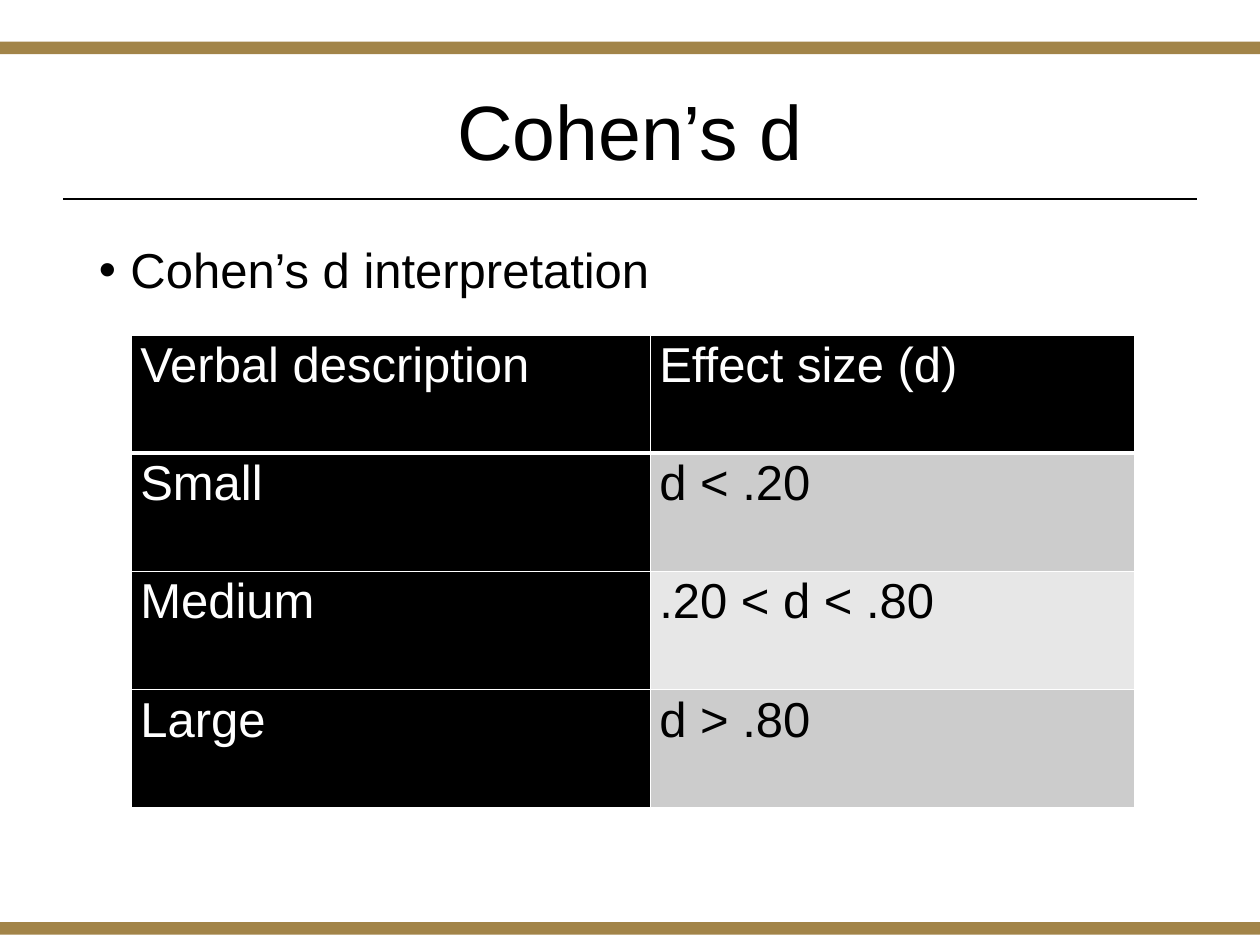
from dataclasses import dataclass

from lxml import etree
from pptx import Presentation
from pptx.dml.color import RGBColor
from pptx.enum.shapes import MSO_CONNECTOR, MSO_SHAPE
from pptx.enum.text import MSO_ANCHOR, PP_ALIGN
from pptx.oxml.ns import qn
from pptx.slide import Slide
from pptx.table import _Cell
from pptx.text.text import _Paragraph
from pptx.util import Pt

RECTANGLE = MSO_SHAPE.RECTANGLE
STRAIGHT = MSO_CONNECTOR.STRAIGHT
TOP, MIDDLE = MSO_ANCHOR.TOP, MSO_ANCHOR.MIDDLE
LEFT, CENTER = PP_ALIGN.LEFT, PP_ALIGN.CENTER

BLACK = RGBColor(0x00, 0x00, 0x00)
WHITE = RGBColor(0xFF, 0xFF, 0xFF)
GOLD = RGBColor(0xA2, 0x84, 0x48)
DARK_BAND = RGBColor(0xCC, 0xCC, 0xCC)
LIGHT_BAND = RGBColor(0xE7, 0xE7, 0xE7)

FONT = "Arial"
SLIDE_WIDTH, SLIDE_HEIGHT = 720, 540
TEXT_LEFT, TEXT_WIDTH = 49.5, 621
TABLE_LEFT, TABLE_TOP = 75.2, 191.3
COLUMN_WIDTHS = (296.6, 276.6)
ROW_HEIGHT = 67.6
BAND_TOPS = (23.8, 527)
BAND_HEIGHT = 7.2


@dataclass(frozen=True)
class TextBlock:
    text: str
    top: float
    height: float
    size: float
    align: PP_ALIGN
    anchor: MSO_ANCHOR
    bulleted: bool = False


@dataclass(frozen=True)
class EffectRow:
    description: str
    effect_size: str
    fill: RGBColor
    color: RGBColor
    bottom_border: float = 1


TEXT_BLOCKS = (
    TextBlock("Cohen’s d", 25, 104.4, 44, CENTER, MIDDLE),
    TextBlock("Cohen’s d interpretation", 136.9, 342.6, 28, LEFT, TOP, True),
)
EFFECT_ROWS = (
    EffectRow("Verbal description", "Effect size (d)", BLACK, WHITE, 3),
    EffectRow("Small", "d < .20", DARK_BAND, BLACK),
    EffectRow("Medium", ".20 < d < .80", LIGHT_BAND, BLACK),
    EffectRow("Large", "d > .80", DARK_BAND, BLACK),
)


def style_paragraph(paragraph: _Paragraph, size: float, color: RGBColor, spacing: float) -> None:
    paragraph.line_spacing = spacing
    paragraph.font.name = FONT
    paragraph.font.size = Pt(size)
    paragraph.font.color.rgb = color


def add_bullet(paragraph: _Paragraph) -> None:
    properties = paragraph._p.get_or_add_pPr()
    properties.set("marL", str(Pt(18)))
    properties.set("indent", str(Pt(-18)))
    paragraph.space_before = Pt(10)
    etree.SubElement(properties, qn("a:buFont"), typeface=FONT)
    etree.SubElement(properties, qn("a:buChar"), char="•")


def add_band(slide: Slide, top: float) -> None:
    band = slide.shapes.add_shape(RECTANGLE, 0, Pt(top), Pt(SLIDE_WIDTH), Pt(BAND_HEIGHT))
    band.shadow.inherit = False
    band.fill.solid()
    band.fill.fore_color.rgb = GOLD
    band.line.fill.background()


def add_title_rule(slide: Slide) -> None:
    rule = slide.shapes.add_connector(STRAIGHT, Pt(36), Pt(113.8), Pt(684), Pt(113.8))
    rule.line.color.rgb = BLACK
    rule.line.width = Pt(1.25)
    etree.SubElement(rule._element.spPr, qn("a:effectLst"))


def add_text_block(slide: Slide, block: TextBlock) -> None:
    box = slide.shapes.add_textbox(
        Pt(TEXT_LEFT), Pt(block.top), Pt(TEXT_WIDTH), Pt(block.height)
    )
    frame = box.text_frame
    frame.word_wrap = True
    frame.vertical_anchor = block.anchor
    paragraph = frame.paragraphs[0]
    paragraph.text = block.text
    paragraph.alignment = block.align
    style_paragraph(paragraph, block.size, BLACK, 0.9)
    if block.bulleted:
        add_bullet(paragraph)


def add_cell_borders(cell: _Cell, bottom_width: float) -> None:
    properties = cell._tc.get_or_add_tcPr()
    widths = {"a:lnL": 1, "a:lnR": 1, "a:lnT": 1, "a:lnB": bottom_width}
    for position, (side, width) in enumerate(widths.items()):
        border = etree.Element(qn(side), w=str(Pt(width)))
        fill = etree.SubElement(border, qn("a:solidFill"))
        etree.SubElement(fill, qn("a:srgbClr"), val=str(WHITE))
        properties.insert(position, border)


def fill_cell(
    cell: _Cell, text: str, fill: RGBColor, color: RGBColor, bottom_width: float
) -> None:
    cell.margin_left = cell.margin_right = Pt(5)
    cell.margin_top = cell.margin_bottom = Pt(0)
    cell.fill.solid()
    cell.fill.fore_color.rgb = fill
    paragraph = cell.text_frame.paragraphs[0]
    paragraph.text = text
    style_paragraph(paragraph, 28, color, 1.06)
    add_cell_borders(cell, bottom_width)


def add_effect_table(slide: Slide) -> None:
    table = slide.shapes.add_table(
        len(EFFECT_ROWS), len(COLUMN_WIDTHS), Pt(TABLE_LEFT), Pt(TABLE_TOP),
        Pt(sum(COLUMN_WIDTHS)), Pt(ROW_HEIGHT * len(EFFECT_ROWS)),
    ).table
    for column, width in zip(table.columns, COLUMN_WIDTHS):
        column.width = Pt(width)
    for index, effect in enumerate(EFFECT_ROWS):
        table.rows[index].height = Pt(ROW_HEIGHT)
        fill_cell(table.cell(index, 0), effect.description, BLACK, WHITE, effect.bottom_border)
        fill_cell(
            table.cell(index, 1), effect.effect_size, effect.fill, effect.color,
            effect.bottom_border,
        )


def main() -> None:
    presentation = Presentation()
    presentation.slide_width = Pt(SLIDE_WIDTH)
    presentation.slide_height = Pt(SLIDE_HEIGHT)
    slide = presentation.slides.add_slide(presentation.slide_layouts[6])
    for top in BAND_TOPS:
        add_band(slide, top)
    add_title_rule(slide)
    for block in TEXT_BLOCKS:
        add_text_block(slide, block)
    add_effect_table(slide)
    presentation.save("out.pptx")


if __name__ == "__main__":
    main()
